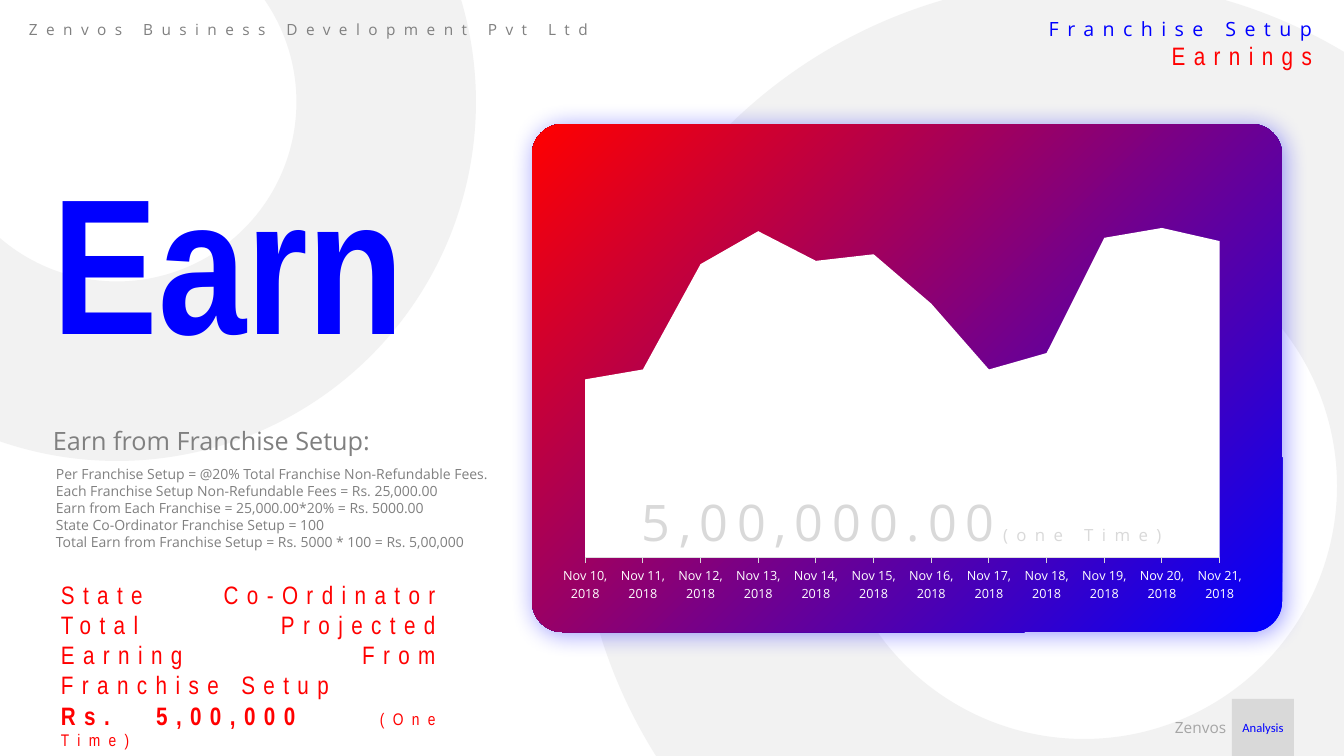
from pptx import Presentation
from pptx import util as u
from pptx.chart.data import CategoryChartData
from pptx.dml.color import RGBColor
from pptx.enum import chart as charts, shapes, text
from pptx.oxml import parse_xml
from pptx.oxml.ns import nsdecls, qn

BLUE, RED, WHITE = "0000FF", "FF0000", "FFFFFF"
PALE, LIGHT, SILVER, GREY = "F2F2F2", "D9D9D9", "A6A6A6", "808080"
SANS, NARROW = "Open Sans", "Arial Narrow"
LEFT, RIGHT = text.PP_ALIGN.LEFT, text.PP_ALIGN.RIGHT
CENTER, JUSTIFY = text.PP_ALIGN.CENTER, text.PP_ALIGN.JUSTIFY


def color(value):
    return RGBColor.from_string(value)


def px(count):
    return u.Emu(round(count * 914400 / 100.8))


class Slide:
    def __init__(self, deck):
        self.page = deck.slides.add_slide(deck.slide_layouts[6])

    def paint(self, fill, value):
        if value is None:
            fill.gradient()
            fill.gradient_angle = 135
            for stop, tone in zip(fill.gradient_stops, (BLUE, RED)):
                stop.color.rgb = color(tone)
        else:
            fill.solid()
            fill.fore_color.rgb = color(value)

    def shape(self, kind, area, fill):
        shape = self.page.shapes.add_shape(kind, *map(px, area))
        shape.shadow.inherit = False
        shape.line.fill.background()
        self.paint(shape.fill, fill)
        return shape

    def glow(self, shape):
        effects = shape._element.spPr.find(qn("a:effectLst"))
        effects.append(parse_xml(
            f'<a:outerShdw {nsdecls("a")} blurRad="{u.Pt(18)}" dist="{u.Pt(3)}" '
            f'dir="2700000" algn="tl" rotWithShape="0"><a:srgbClr val="{BLUE}">'
            '<a:alpha val="40000"/></a:srgbClr></a:outerShdw>'))

    def add_words(self, frame, paragraphs, tone, font, align=LEFT, spacing=0):
        frame.word_wrap = True
        for index, spans in enumerate(paragraphs):
            para = frame.add_paragraph() if index else frame.paragraphs[0]
            para.alignment = align
            for words, size, bold in spans:
                span = para.add_run()
                span.text = words
                span.font.size = u.Pt(size)
                span.font.bold = bold
                span.font.name = font
                self.paint(span.font.fill, tone)
                if spacing:
                    span.font._element.set("spc", str(spacing * 100))

    def text(self, area, paragraphs, tone, font=SANS, align=LEFT, spacing=0):
        box = self.page.shapes.add_textbox(*map(px, area))
        self.add_words(box.text_frame, paragraphs, tone, font, align, spacing)
        box.text_frame.auto_size = text.MSO_AUTO_SIZE.SHAPE_TO_FIT_TEXT

    def area_chart(self, area, labels, values):
        data = CategoryChartData(number_format="#,##0")
        data.categories = labels
        data.add_series("Series 1", values)
        chart = self.page.shapes.add_chart(
            charts.XL_CHART_TYPE.AREA_STACKED, *map(px, area), data).chart
        chart.has_legend = False
        chart.has_title = False
        chart.font.name = SANS
        chart.font.size = u.Pt(9)
        chart.font.color.rgb = color(WHITE)
        self.paint(chart.plots[0].series[0].format.fill, WHITE)
        dates, amounts = chart.category_axis, chart.value_axis
        dates.has_major_gridlines = False
        dates.major_tick_mark = charts.XL_TICK_MARK.OUTSIDE
        dates.format.line.width = u.Pt(0.75)
        dates.format.line.color.rgb = color(LIGHT)
        amounts.has_major_gridlines = False
        amounts.visible = False
        amounts.minimum_scale = 0
        amounts.maximum_scale = 120


def main():
    deck = Presentation()
    deck.slide_width, deck.slide_height = px(1344), px(756)
    slide = Slide(deck)
    kinds = shapes.MSO_SHAPE

    for left, top, size in ((578, -20, 1012), (-242, -257, 718)):
        slide.shape(kinds.DONUT, (left, top, size, size), PALE)

    card = slide.shape(kinds.ROUNDED_RECTANGLE, (532, 124, 750, 508), None)
    card.adjustments[0] = 0.06
    slide.glow(card)
    slide.area_chart((549, 153, 707, 459),
                     [f"Nov {day}, 2018" for day in range(10, 22)],
                     (54, 57, 89, 99, 90, 92, 77, 57, 62, 97, 100, 96))
    slide.text((632, 486, 600, 72),
               [[("5,00,000.00", 36, False), ("(one Time)", 12, False)]],
               LIGHT, spacing=6)

    slide.text((19, 15, 710, 29),
               [[("Zenvos Business Development Pvt Ltd", 11, False)]],
               GREY, spacing=6)
    slide.text((43, 136, 386, 244), [[("Earn", 138, True)]], None, NARROW)
    slide.text((43, 420, 461, 40),
               [[("Earn from Franchise Setup:", 18, False)]], GREY)
    details = (
        "Per Franchise Setup = @20% Total Franchise Non-Refundable Fees.",
        "Each Franchise Setup Non-Refundable Fees = Rs. 25,000.00",
        "Earn from Each Franchise = 25,000.00*20% = Rs. 5000.00",
        "State Co-Ordinator Franchise Setup = 100",
        "Total Earn from Franchise Setup = Rs. 5000 * 100 = Rs. 5,00,000",
    )
    slide.text((46, 461, 460, 112),
               [[(line, 10, False)] for line in details], GREY, align=JUSTIFY)

    tab = slide.shape(kinds.RECTANGLE, (1232, 699, 62, 57), LIGHT)
    slide.add_words(tab.text_frame, [[("Analysis", 9, False)]], BLUE, "Calibri", CENTER)
    tab.text_frame.vertical_anchor = text.MSO_ANCHOR.MIDDLE
    slide.text((1165, 713, 134, 29), [[("Zenvos", 11, False)]], SILVER)

    slide.text((843, 12, 479, 34), [[("Franchise Setup", 14, False)]],
               BLUE, align=RIGHT, spacing=6)
    slide.text((1112, 35, 210, 40), [[("Earnings", 18, False)]],
               RED, NARROW, RIGHT, 6)
    slide.text((51, 574, 403, 132), [
        [("State Co-Ordinator Total Projected Earning From Franchise Setup ", 18, False)],
        [("Rs. 5,00,000  ", 18, True), ("(One Time)", 12, False)],
    ], RED, NARROW, JUSTIFY, 6)

    deck.save("out.pptx")


if __name__ == "__main__":
    main()
